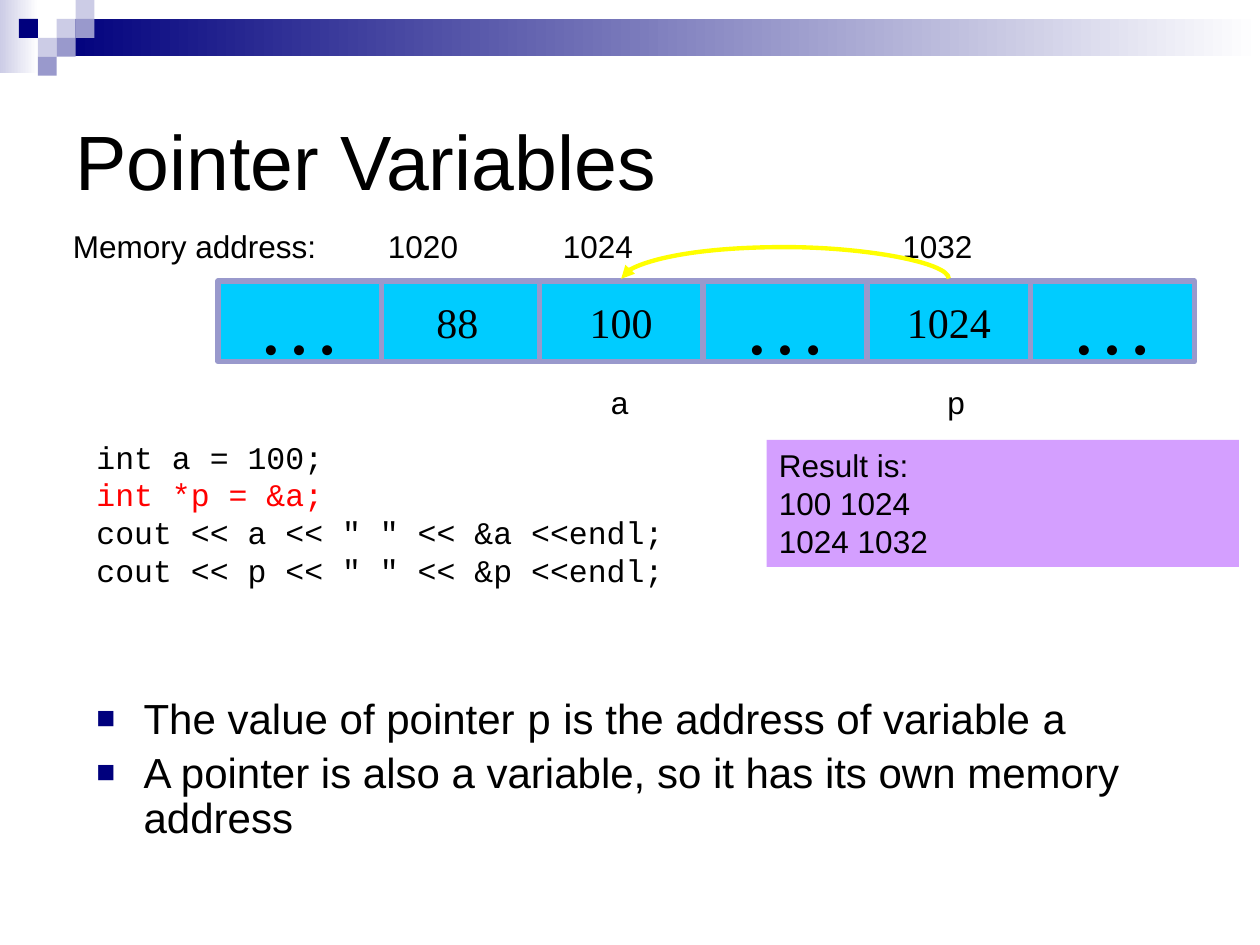
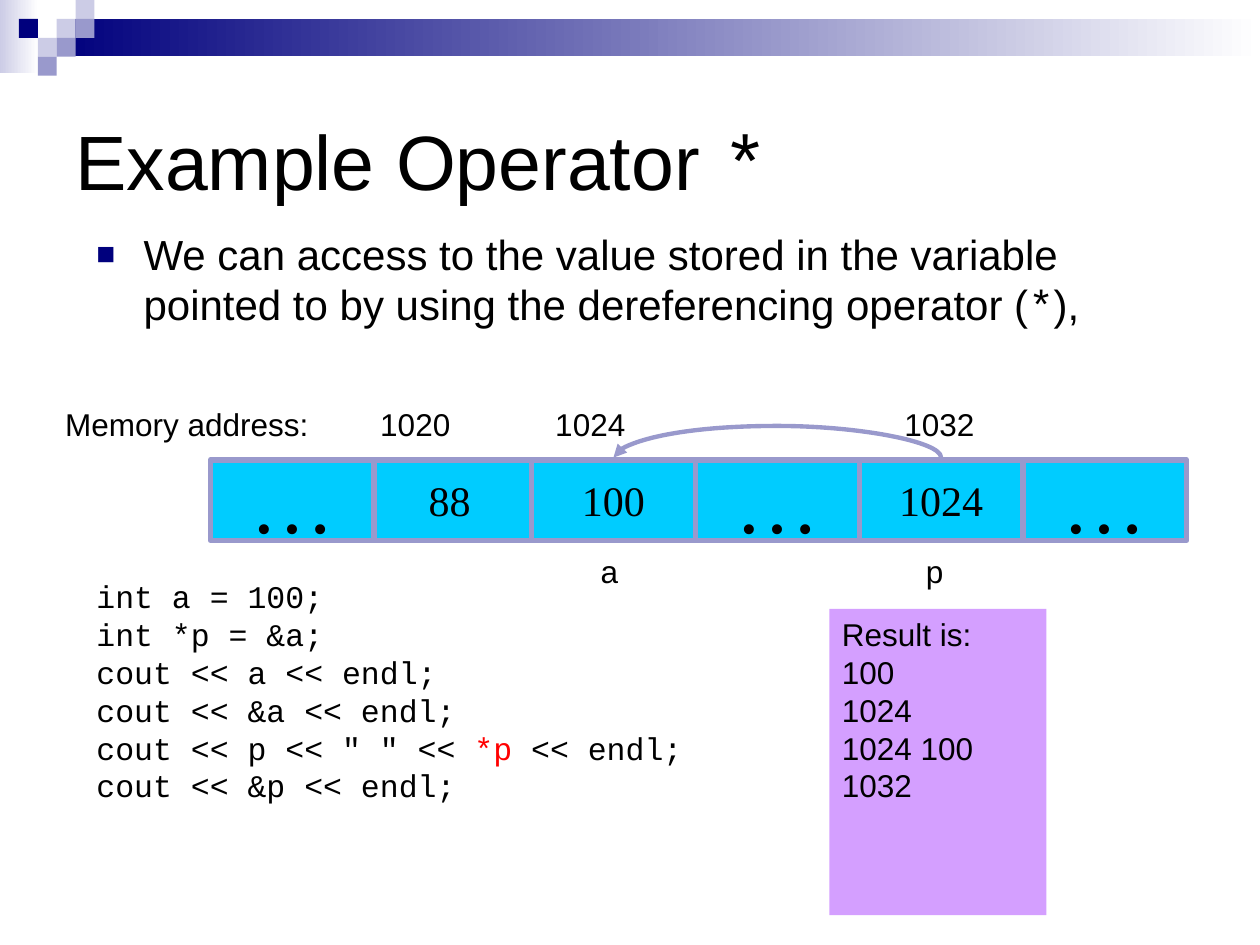
from lxml import etree
from pptx import Presentation
from pptx.dml.color import RGBColor
from pptx.enum.shapes import MSO_CONNECTOR as Connector, MSO_SHAPE as Shape
from pptx.enum.text import MSO_ANCHOR as Anchor, PP_ALIGN as Align
from pptx.oxml.ns import qn
from pptx.util import Pt

# Shared colours and fonts
BLACK = RGBColor(0x00, 0x00, 0x00)
WHITE = RGBColor(0xFF, 0xFF, 0xFF)
RED = RGBColor(0xFF, 0x00, 0x00)
YELLOW = RGBColor(0xFF, 0xFF, 0x00)
NAVY = RGBColor(0x00, 0x00, 0x7D)
LAVENDER = RGBColor(0x99, 0x99, 0xCC)
PALE = RGBColor(0xCC, 0xCC, 0xE6)
CYAN = RGBColor(0x00, 0xCC, 0xFF)
VIOLET = RGBColor(0xD4, 0x9F, 0xFF)
SANS, MONO, SERIF = "Arial", "Courier New", "Times New Roman"

# Memory diagram measures, in points
CELL_PITCH = 93.6
CELL_HEIGHT = 46
CELL_VALUES = ("…", "88", "100", "…", "1024", "…")
ARC_RISE = 16.5
ARC_DEPTH = 0.13

# Corner squares: column, row, colour on a grid of 10.8 points
SQUARE = 10.8
SQUARES = (
    (3, 1, PALE), (4, 0, PALE), (4, 1, LAVENDER), (2, 2, PALE),
    (1, 1, NAVY), (3, 2, LAVENDER), (2, 3, LAVENDER),
)


def write_text(frame, paragraphs, size=18, font=SANS, align=Align.LEFT,
               anchor=Anchor.TOP, wrap=True, leading=1.2, bullet=False):
    """Fill a frame; a span is a string or (text, format overrides)."""
    frame.word_wrap = wrap
    frame.vertical_anchor = anchor
    for index, spans in enumerate(paragraphs):
        para = frame.paragraphs[0] if index == 0 else frame.add_paragraph()
        para.alignment = align
        para.line_spacing = Pt(round(size * leading, 1))
        if bullet:
            if index:
                para.space_before = Pt(size * 0.2)
            add_bullet(para)
        for span in [spans] if isinstance(spans, str) else spans:
            text, style = (span, {}) if isinstance(span, str) else span
            run = para.add_run()
            run.text = text
            run.font.size = Pt(size)
            run.font.name = style.get("font", font)
            run.font.color.rgb = style.get("color", BLACK)


def add_bullet(para):
    props = para._p.get_or_add_pPr()
    props.set("marL", str(Pt(27)))
    props.set("indent", str(-Pt(27)))
    color = etree.SubElement(props, qn("a:buClr"))
    etree.SubElement(color, qn("a:srgbClr"), val=str(NAVY))
    etree.SubElement(props, qn("a:buSzPct"), val="75000")
    etree.SubElement(props, qn("a:buFont"), typeface=SANS)
    etree.SubElement(props, qn("a:buChar"), char="■")


def add_text(page, left, top, width, height, paragraphs, **style):
    box = page.shapes.add_textbox(Pt(left), Pt(top), Pt(width), Pt(height))
    write_text(box.text_frame, paragraphs, **style)


def add_rect(page, left, top, width, height, fill, line=None, fade=False):
    rect = page.shapes.add_shape(Shape.RECTANGLE, Pt(left), Pt(top),
                                 Pt(width), Pt(height))
    rect.shadow.inherit = False
    if fade:
        rect.fill.gradient()
        rect.fill.gradient_angle = 0
        for stop, color in zip(rect.fill.gradient_stops, (fill, WHITE)):
            stop.color.rgb = color
    else:
        rect.fill.solid()
        rect.fill.fore_color.rgb = fill
    if line is None:
        rect.line.fill.background()
    else:
        rect.line.color.rgb = line
        rect.line.width = Pt(3)
    return rect


def add_band(page):
    add_rect(page, 0, 0, 22, 41.8, PALE, fade=True)
    add_rect(page, 32.4, 10.8, 687.6, 21.4, NAVY, fade=True)
    for column, row, color in SQUARES:
        add_rect(page, column * SQUARE, row * SQUARE, SQUARE, SQUARE, color)


def add_title(page, spans):
    add_text(page, 36, 37, 648, 108, [spans], size=44, anchor=Anchor.MIDDLE)


def add_code(page, top, height, lines):
    add_text(page, 48, top, 408, height, lines, font=MONO)


def add_result(page, left, top, width, height, lines):
    rect = add_rect(page, left, top, width, height, VIOLET)
    write_text(rect.text_frame, lines)


def add_arc(page, start, end, level, color):
    """Curved arrow that rises above two points on one level."""
    middle, reach = (start + end) / 2, (start - end) / 2
    arc = page.shapes.add_connector(
        Connector.CURVE, Pt(middle + ARC_DEPTH / 2), Pt(level + reach),
        Pt(middle - ARC_DEPTH / 2), Pt(level - reach))
    arc.line.color.rgb = color
    arc.line.width = Pt(2.5)
    props = arc._element.spPr
    props.find(qn("a:xfrm")).set("rot", "16200000")
    bend = round(-ARC_RISE / ARC_DEPTH * 100000)
    guides = props.find(qn("a:prstGeom")).find(qn("a:avLst"))
    etree.SubElement(guides, qn("a:gd"), name="adj1", fmla=f"val {bend}")
    etree.SubElement(arc.line._get_or_add_ln(), qn("a:tailEnd"),
                     type="triangle")
    etree.SubElement(props, qn("a:effectLst"))


def add_memory(page, left, top, arc_color, pointer_address, names, names_top):
    """Row of memory cells; left is the edge of the second cell."""
    # The first cell overlaps the second slightly, so it comes last
    for index in (1, 2, 3, 4, 5, 0):
        value = CELL_VALUES[index]
        shift = (index - 1) * CELL_PITCH if index else -90
        cell = add_rect(page, left + shift, top, CELL_PITCH, CELL_HEIGHT,
                        CYAN, LAVENDER)
        write_text(cell.text_frame, [value], size=48 if value == "…" else 24,
                   font=SERIF, align=Align.CENTER, anchor=Anchor.MIDDLE,
                   wrap=False)
    # Addresses above the cells
    for text, shift, width in (("Memory address:", -180, 168),
                               ("1020", 0, 76), ("1024", 100, 76),
                               ("1032", pointer_address, 76)):
        add_text(page, left + shift, top - 34.6, width, 31, [text])
    # Variable names below the cells
    for name, shift in zip("ap", names):
        add_text(page, left + shift, top + names_top, 30, 31, [name])
    add_arc(page, left + 3.5 * CELL_PITCH, left + 1.5 * CELL_PITCH,
            top - 1.4, arc_color)


def add_page(deck, title):
    page = deck.slides.add_slide(deck.slide_layouts[6])
    add_band(page)
    add_title(page, title)
    return page


def build_pointer_variables(deck):
    page = add_page(deck, "Pointer Variables")
    mono = {"font": MONO}
    add_text(page, 48, 395, 618, 90, [
        ["The value of pointer ", ("p", mono),
         " is the address of variable ", ("a", mono)],
        "A pointer is also a variable, so it has its own memory address",
    ], size=24, leading=1.08, bullet=True)
    add_memory(page, 214.6, 160.6, YELLOW, 294, (127.4, 319.7), 54.7)
    add_code(page, 246.5, 117, [
        "int a = 100;",
        [("int *p = &a;", {"color": RED})],
        'cout << a << " " << &a <<endl;',
        'cout << p << " " << &p <<endl;',
    ])
    add_result(page, 438, 251.3, 270, 72.7,
               ["Result is:", "100 1024", "1024 1032"])


def build_dereferencing(deck):
    mono = {"font": MONO}
    page = add_page(deck, ["Example Operator ", ("*", mono)])
    add_text(page, 48, 127, 618, 324, [
        ["We can access to the value stored in the variable pointed to "
         "by using the dereferencing operator (", ("*", mono), "),"],
    ], size=24, bullet=True)
    add_memory(page, 210.2, 262.8, LAVENDER, 299.5, (126, 311.8), 49)
    add_code(page, 326.4, 204, [
        "int a = 100;",
        "int *p = &a;",
        "cout << a << endl;",
        "cout << &a << endl;",
        ['cout << p << " " << ', ("*p", {"color": RED}), " << endl;"],
        "cout << &p << endl;",
    ])
    add_result(page, 474, 348, 124, 175,
               ["Result is:", "100", "1024", "1024 100", "1032"])


def main():
    deck = Presentation()
    deck.slide_width, deck.slide_height = Pt(720), Pt(540)
    build_pointer_variables(deck)
    build_dereferencing(deck)
    deck.save("out.pptx")


if __name__ == "__main__":
    main()
